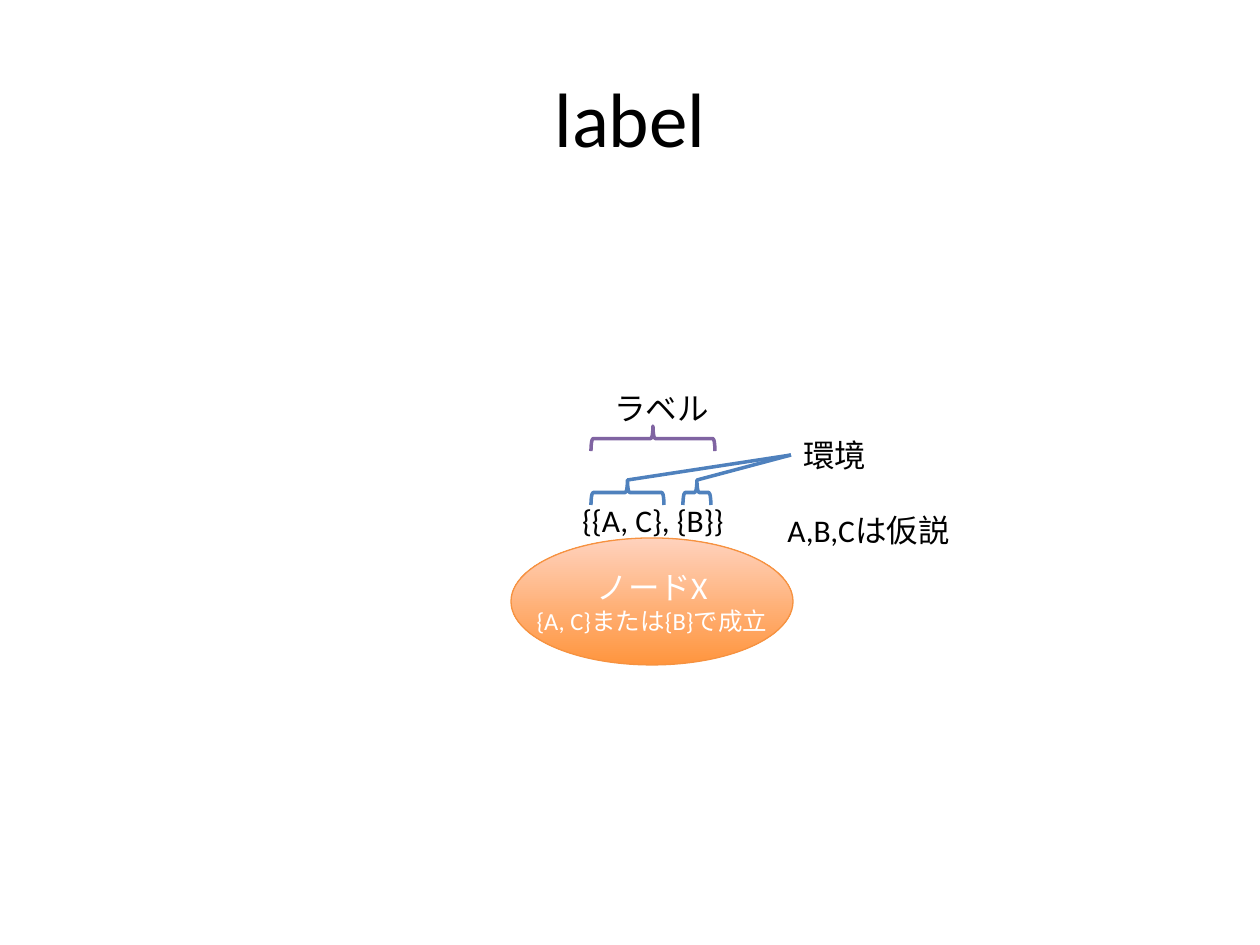
from pptx import Presentation
from pptx.dml.color import RGBColor
from pptx.enum.shapes import MSO_CONNECTOR, MSO_SHAPE
from pptx.enum.text import MSO_ANCHOR, MSO_AUTO_SIZE, PP_ALIGN
from pptx.oxml.ns import qn
from pptx.util import Emu, Pt
from lxml import etree

EMU_PER_PX = 914400 / 126
STRAIGHT = MSO_CONNECTOR.STRAIGHT
OVAL = MSO_SHAPE.OVAL
RIGHT_BRACE = MSO_SHAPE.RIGHT_BRACE
MIDDLE = MSO_ANCHOR.MIDDLE
GROW = MSO_AUTO_SIZE.SHAPE_TO_FIT_TEXT
LEFT = PP_ALIGN.LEFT
CENTER = PP_ALIGN.CENTER
TITLE_ONLY = 5
LEFT_SIDE = 1

COLORS = {
    "text": "000000",
    "node_text": "FFFFFF",
    "node_line": "F69240",
    "node_bottom": "FF953E",
    "node_top": "FFD2BD",
    "label": "8064A2",
    "environment": "4F81BD",
}


def px(value):
    return Emu(round(value * EMU_PER_PX))


def color(name):
    return RGBColor.from_string(COLORS[name])


def set_attributes(target, values):
    for name, value in values.items():
        setattr(target, name, value)


def place(shape, left, top, width, height):
    set_attributes(shape, {"left": px(left), "top": px(top),
                           "width": px(width), "height": px(height)})


def write_paragraph(paragraph, text, size, color_name, alignment):
    paragraph.alignment = alignment
    run = paragraph.add_run()
    run.text = text
    set_attributes(run.font, {"name": "Calibri", "size": Pt(size)})
    run.font.color.rgb = color(color_name)


def format_line(line, color_name, width):
    line.color.rgb = color(color_name)
    line.width = Pt(width)


def set_title(slide, text):
    title = slide.shapes.title
    place(title, 63, 38, 1134, 157)
    title.text_frame.vertical_anchor = MIDDLE
    write_paragraph(title.text_frame.paragraphs[0], text, 44, "text", CENTER)


def add_text(slide, box, text, alignment=LEFT):
    shape = slide.shapes.add_textbox(*map(px, box))
    set_attributes(shape.text_frame, {"word_wrap": True, "auto_size": GROW})
    write_paragraph(shape.text_frame.paragraphs[0], text, 18, "text", alignment)
    return shape


def add_node(slide, box, name, condition):
    node = slide.shapes.add_shape(OVAL, *map(px, box))
    node.shadow.inherit = False
    node.fill.gradient()
    node.fill.gradient_angle = 90
    for stop, color_name in zip(node.fill.gradient_stops, ("node_bottom", "node_top")):
        stop.color.rgb = color(color_name)
    for stop, position in zip(node.fill.gradient_stops, (0, 1)):
        stop.position = position
    format_line(node.line, "node_line", 0.75)
    frame = node.text_frame
    set_attributes(frame, {"word_wrap": False, "vertical_anchor": MIDDLE})
    write_paragraph(frame.paragraphs[0], name, 18, "node_text", CENTER)
    write_paragraph(frame.add_paragraph(), condition, 14, "node_text", CENTER)


def add_top_brace(slide, left, top, span, color_name):
    depth = 25
    offset = (span - depth) / 2
    box = (left + offset, top - offset, depth, span)
    brace = slide.shapes.add_shape(RIGHT_BRACE, *map(px, box))
    brace.rotation = 270
    brace.shadow.inherit = False
    brace.fill.background()
    format_line(brace.line, color_name, 2)


def add_pointer(slide, start, target):
    x, y = map(px, start)
    connector = slide.shapes.add_connector(STRAIGHT, x, y, x, y)
    connector.end_connect(target, LEFT_SIDE)
    format_line(connector.line, "environment", 2)
    etree.SubElement(connector._element.spPr, qn("a:effectLst"))


def main():
    presentation = Presentation()
    set_attributes(presentation, {"slide_width": px(1260), "slide_height": px(945)})
    slide = presentation.slides.add_slide(presentation.slide_layouts[TITLE_ONLY])
    set_title(slide, "label")

    add_node(slide, (511, 538, 282, 127), "ノードX", "{A, C}または{B}で成立")
    add_text(slide, (543, 495, 220, 50), "{{A, C}, {B}}", CENTER)
    add_text(slide, (775, 505, 208, 50), "A,B,Cは仮説")
    add_text(slide, (602, 383, 215, 50), "ラベル")
    environment = add_text(slide, (791, 430, 91, 50), "環境")

    add_top_brace(slide, 591, 426, 124, "label")
    brace_top = 480
    for left, span in ((591, 73), (683, 28)):
        add_top_brace(slide, left, brace_top, span, "environment")
        add_pointer(slide, (left + span / 2, brace_top), environment)

    presentation.save("out.pptx")


if __name__ == "__main__":
    main()
